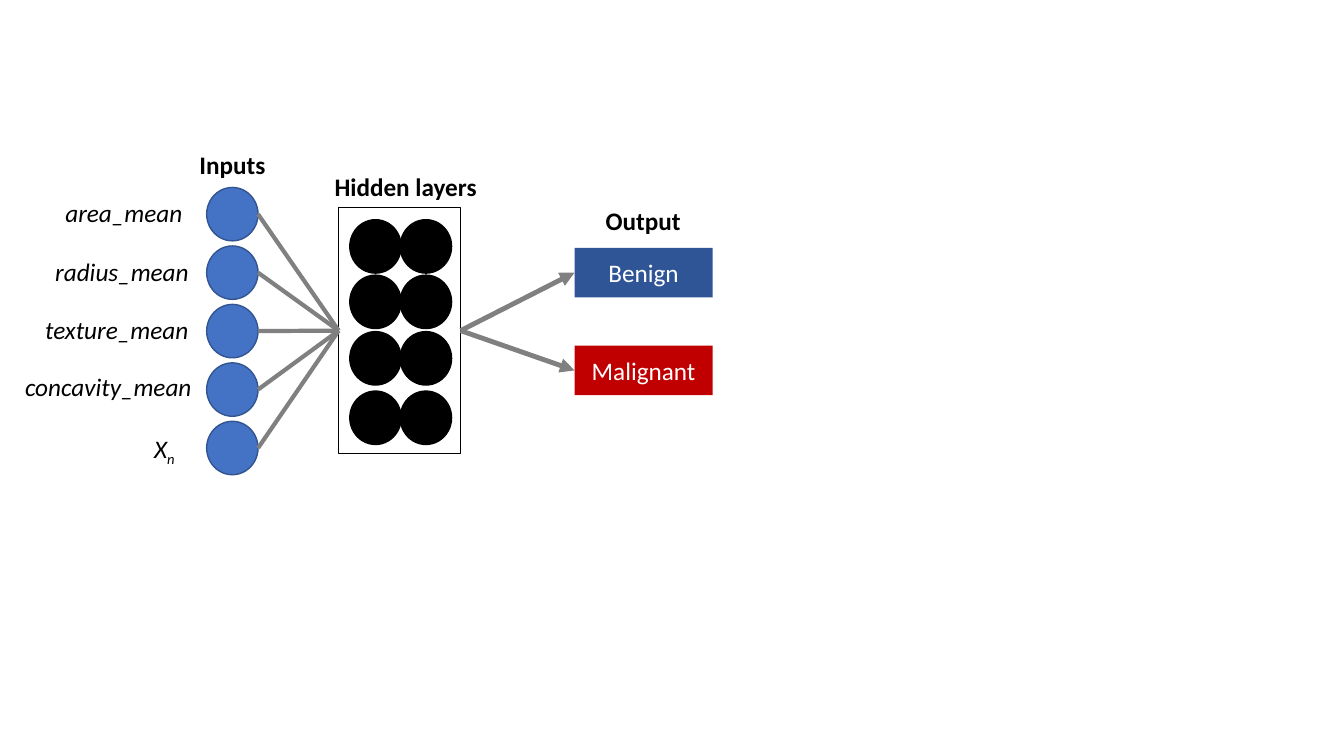
from typing import Any, NamedTuple

from pptx import Presentation
from pptx.dml.color import RGBColor
from pptx.enum.shapes import MSO_CONNECTOR, MSO_SHAPE
from pptx.enum.text import MSO_ANCHOR, MSO_AUTO_SIZE, PP_ALIGN
from pptx.oxml.ns import qn
from pptx.util import Inches, Pt
from lxml import etree

RECT, OVAL = MSO_SHAPE.RECTANGLE, MSO_SHAPE.OVAL
STRAIGHT = MSO_CONNECTOR.STRAIGHT
MIDDLE, CENTER = MSO_ANCHOR.MIDDLE, PP_ALIGN.CENTER
GROW = MSO_AUTO_SIZE.SHAPE_TO_FIT_TEXT
LEFT, RIGHT = 1, 3  # connection sites

WHITE = RGBColor(0xFF, 0xFF, 0xFF)
BLACK = RGBColor(0x00, 0x00, 0x00)
BLUE = RGBColor(0x44, 0x72, 0xC4)
EDGE = RGBColor(0x32, 0x54, 0x91)
NAVY = RGBColor(0x2F, 0x55, 0x97)
RED = RGBColor(0xC0, 0x00, 0x00)
GRAY = RGBColor(0x80, 0x80, 0x80)

BASE = {"name": "Calibri", "size": Pt(18)}
HEAD = BASE | {"bold": True}
ITEM = BASE | {"italic": True}

# The grid has ten columns and ten rows to the inch
CELL = Inches(0.1)
COLS, ROWS = 133.33, 75
NODE_W, NODE_H = 5.1, 5.3
IN_COL, IN_TOP, IN_STEP = 20.5, 18.6, 5.8
HID_COLS = (34.7, 39.7)
HID_ROWS = (21.8, 27.3, 32.9, 38.8)
TEXT_H = 4


class Box(NamedTuple):
    col: float
    row: float
    wide: float
    high: float


class Label(NamedTuple):
    text: str
    box: Box
    form: dict[str, Any]
    sub: str = ""


class Class(NamedTuple):
    text: str
    row: float
    fill: RGBColor


HEADS = [
    Label("Hidden layers", Box(32.2, 16.5, 16.2, TEXT_H), HEAD),
    Label("Inputs", Box(18.8, 14.3, 8.6, TEXT_H), HEAD),
    Label("Output", Box(59.1, 19.9, 9.5, TEXT_H), HEAD),
]
INPUTS = [
    Label("area_mean", Box(5.5, 19.1, 13.6, TEXT_H), ITEM),
    Label("radius_mean", Box(4.5, 24.9, 15.4, TEXT_H), ITEM),
    Label("texture_mean", Box(3.5, 30.7, 16.4, TEXT_H), ITEM),
    Label("concavity_mean", Box(1.5, 36.3, 18.7, TEXT_H), ITEM),
    Label("X", Box(14.3, 42.5, 4.2, TEXT_H), ITEM, "n"),
]
CLASSES = [Class("Benign", 24.6, NAVY), Class("Malignant", 34.3, RED)]


def cells(*counts: float) -> list[int]:
    return [round(n * CELL) for n in counts]


def add_run(para: Any, text: str, form: dict[str, Any], color: RGBColor) -> Any:
    run = para.add_run()
    run.text = text
    for key, value in form.items():
        setattr(run.font, key, value)
    run.font.color.rgb = color
    return run


def add_shape(slide: Any, kind: Any, box: Box, fill: RGBColor,
              edge: RGBColor | None = None) -> Any:
    shape = slide.shapes.add_shape(kind, *cells(*box))
    shape.shadow.inherit = False
    shape.fill.solid()
    shape.fill.fore_color.rgb = fill
    if edge is None:
        shape.line.fill.background()
    else:
        shape.line.color.rgb = edge
        shape.line.width = Pt(1)
    return shape


def add_label(slide: Any, label: Label) -> None:
    frame = slide.shapes.add_textbox(*cells(*label.box)).text_frame
    frame.word_wrap = False
    frame.auto_size = GROW
    para = frame.paragraphs[0]
    add_run(para, label.text, label.form, BLACK)
    if label.sub:
        low = add_run(para, label.sub, label.form, BLACK)
        low.font._element.set("baseline", "-25000")


def add_link(slide: Any, width: float) -> Any:
    link = slide.shapes.add_connector(STRAIGHT, 0, 0, 0, 0)
    link.line.color.rgb = GRAY
    link.line.width = Pt(width)
    etree.SubElement(link._element.spPr, qn("a:effectLst"))
    return link


def main() -> None:
    deck = Presentation()
    deck.slide_width, deck.slide_height = cells(COLS, ROWS)
    slide = deck.slides.add_slide(deck.slide_layouts[6])

    # Hidden layers
    panel = add_shape(slide, RECT, Box(33.6, 20.6, 12.1, 24.4), WHITE, BLACK)
    for col in HID_COLS:
        for row in HID_ROWS:
            add_shape(slide, OVAL, Box(col, row, NODE_W, NODE_H), BLACK, BLACK)

    # Inputs, each linked to the panel
    for i, label in enumerate(INPUTS):
        top = IN_TOP + i * IN_STEP
        add_shape(slide, OVAL, Box(IN_COL, top, NODE_W, NODE_H), BLUE, EDGE)
        add_label(slide, label)
        link = add_link(slide, 3)
        link.begin_x, link.begin_y = cells(IN_COL + NODE_W, top + NODE_H / 2)
        link.end_connect(panel, LEFT)

    # Output classes, each with an arrow from the panel
    for item in CLASSES:
        tile = add_shape(slide, RECT, Box(57, item.row, 13.7, 4.9), item.fill)
        frame = tile.text_frame
        frame.vertical_anchor = MIDDLE
        para = frame.paragraphs[0]
        para.alignment = CENTER
        add_run(para, item.text, BASE, WHITE)
        arrow = add_link(slide, 3.5)
        arrow.begin_connect(panel, RIGHT)
        arrow.end_connect(tile, LEFT)
        etree.SubElement(arrow.line._get_or_add_ln(), qn("a:tailEnd"), type="triangle")

    # Headings
    for label in HEADS:
        add_label(slide, label)

    deck.save("out.pptx")


if __name__ == "__main__":
    main()
